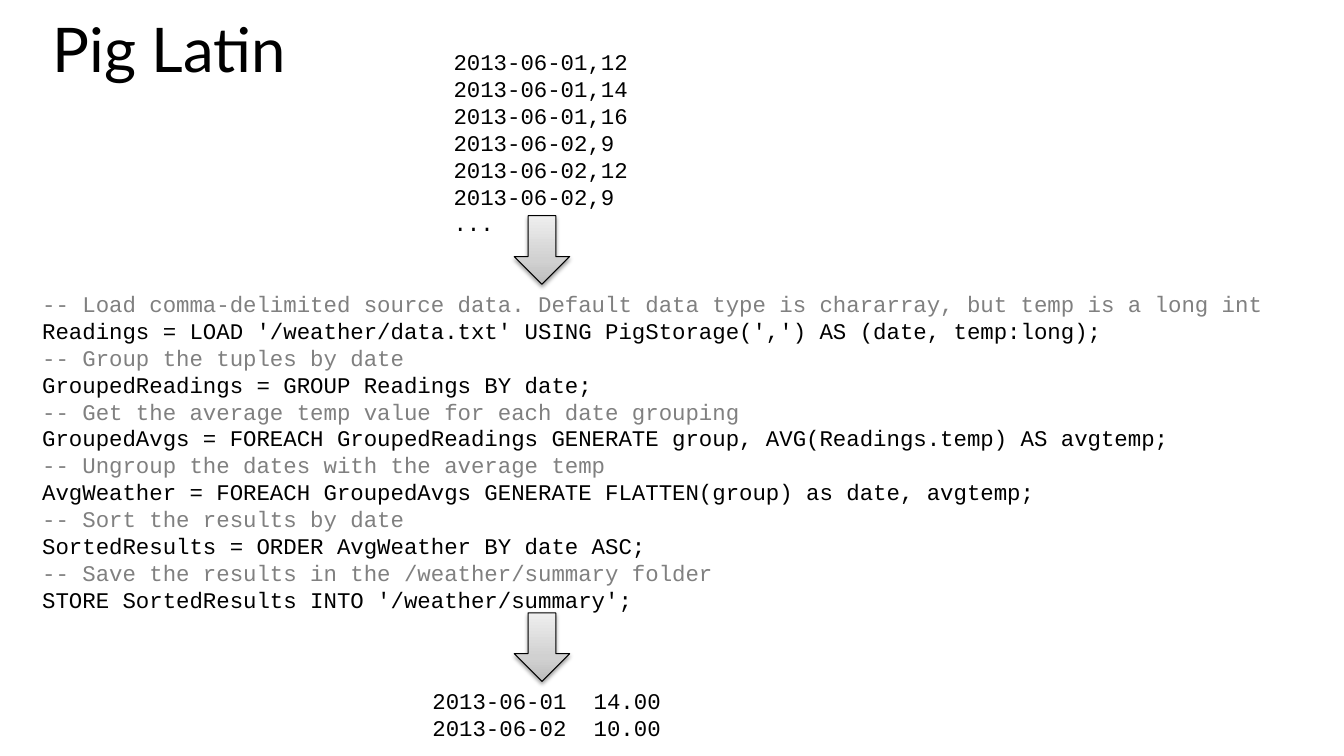
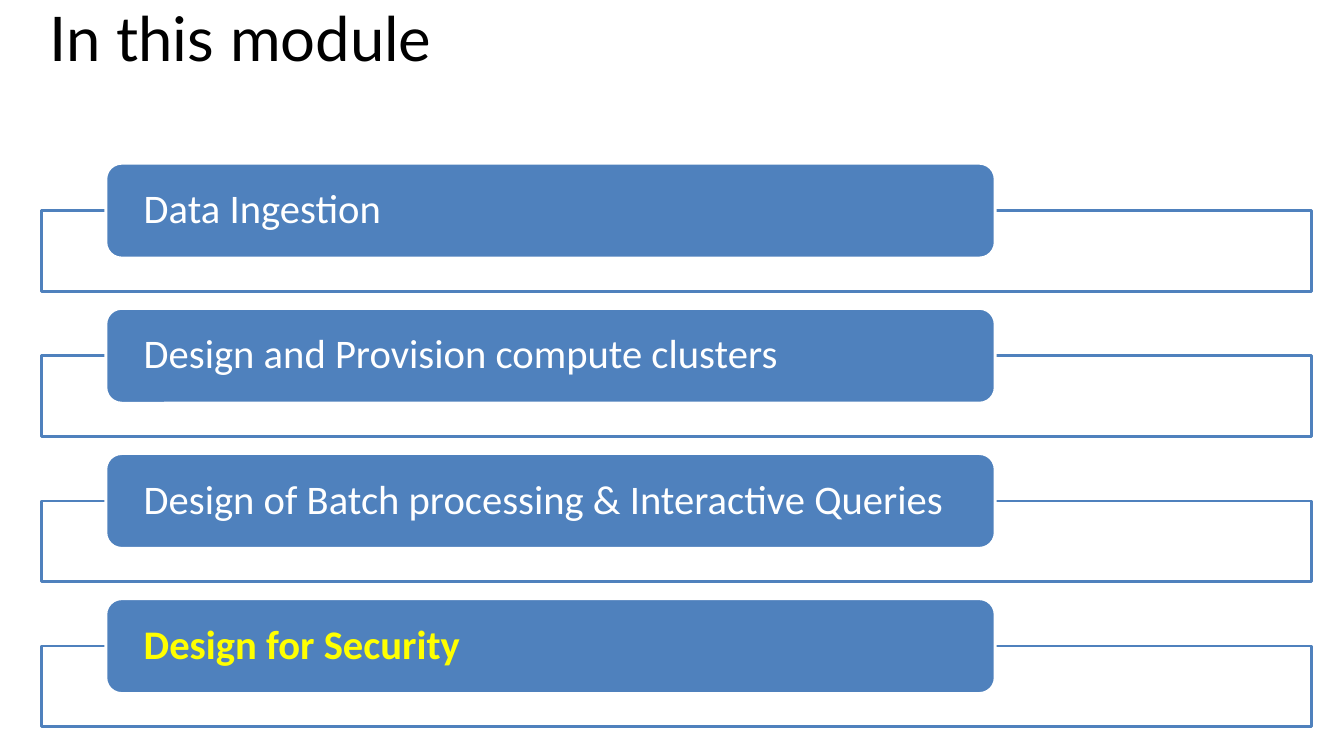
from pptx import Presentation
from pptx import util as u
from pptx.dml.color import RGBColor
from pptx.enum import shapes, text
from pptx.oxml import parse_xml
from pptx.oxml.ns import nsdecls, qn

BLACK, WHITE, GREY = "000000", "FFFFFF", "808080"
BLUE, YELLOW = "4F81BD", "FFFF00"
TITLE_FONT, CODE_FONT, MODULE_FONT = "Lato", "Courier New", "Calibri"
ARROW_STOPS = [(0, "BDBDBD"), (35, "D1D1D1"), (100, "EEEEEE")]

READINGS = ["2013-06-01,12", "2013-06-01,14", "2013-06-01,16",
            "2013-06-02,9", "2013-06-02,12", "2013-06-02,9", "..."]
PIG_SCRIPT = [
    "-- Load comma-delimited source data. Default data type is chararray, but temp is a long int",
    "Readings = LOAD '/weather/data.txt' USING PigStorage(',') AS (date, temp:long);",
    "-- Group the tuples by date",
    "GroupedReadings = GROUP Readings BY date;",
    "-- Get the average temp value for each date grouping",
    "GroupedAvgs = FOREACH GroupedReadings GENERATE group, AVG(Readings.temp) AS avgtemp;",
    "-- Ungroup the dates with the average temp",
    "AvgWeather = FOREACH GroupedAvgs GENERATE FLATTEN(group) as date, avgtemp;",
    "-- Sort the results by date",
    "SortedResults = ORDER AvgWeather BY date ASC;",
    "-- Save the results in the /weather/summary folder",
    "STORE SortedResults INTO '/weather/summary';",
]
AVERAGES = ["2013-06-01\t14.00", "2013-06-02\t10.00"]
AVERAGE_TAB = 1.6

MODULES = ["Data Ingestion", "Design and Provision compute clusters",
           "Design of Batch processing & Interactive Queries", "Design for Security"]
CURRENT_MODULE = "Design for Security"
MODULE_TOP, MODULE_PITCH, FRAME_DROP = 1.62, 1.44, 0.47


def rgb(value):
    return RGBColor.from_string(value)


def box(left, top, width, height):
    return [u.Inches(length) for length in (left, top, width, height)]


def style(paragraph, font_name, size, color, bold=False):
    font = paragraph.font
    font.name, font.size, font.bold = font_name, u.Pt(size), bold
    font.color.rgb = rgb(color)


def add_titled_slide(prs, title, *place):
    slide = prs.slides.add_slide(prs.slide_layouts[5])
    heading = slide.shapes.title
    heading.left, heading.top, heading.width, heading.height = box(*place)
    frame = heading.text_frame
    frame.text = title
    frame.auto_size = text.MSO_AUTO_SIZE.NONE
    frame.vertical_anchor = text.MSO_ANCHOR.TOP
    paragraph = frame.paragraphs[0]
    paragraph.alignment = text.PP_ALIGN.LEFT
    paragraph.line_spacing = 0.8
    style(paragraph, TITLE_FONT, 44, BLACK)
    return slide


def add_code(slide, lines, *place, tab=None):
    frame = slide.shapes.add_textbox(*box(*place)).text_frame
    frame.word_wrap = True
    frame.text = "\n".join(lines)
    for paragraph in frame.paragraphs:
        style(paragraph, CODE_FONT, 16, GREY if paragraph.text.startswith("--") else BLACK)
        if tab:
            stops = parse_xml(f'<a:tabLst {nsdecls("a")}><a:tab pos="{u.Inches(tab)}" algn="l"/></a:tabLst>')
            paragraph._p.pPr.find(qn("a:defRPr")).addprevious(stops)


def add_shape(slide, kind, line_color, line_width, *place):
    shape = slide.shapes.add_shape(kind, *box(*place))
    shape.shadow.inherit = False
    shape.line.color.rgb = rgb(line_color)
    shape.line.width = u.Pt(line_width)
    return shape


def add_flow_arrow(slide, top):
    arrow = add_shape(slide, shapes.MSO_SHAPE.DOWN_ARROW, BLACK, 0.75, 5.1, top, 0.55, 0.68)
    arrow.fill.gradient()
    arrow.fill.gradient_angle = 90
    stops = "".join(f'<a:gs pos="{pos * 1000}"><a:srgbClr val="{color}"/></a:gs>'
                    for pos, color in ARROW_STOPS)
    properties = arrow._element.spPr
    old_stops = next(properties.iter(qn("a:gsLst")))
    old_stops.getparent().replace(old_stops, parse_xml(f'<a:gsLst {nsdecls("a")}>{stops}</a:gsLst>'))
    properties.find(qn("a:effectLst")).append(parse_xml(
        f'<a:outerShdw {nsdecls("a")} blurRad="{u.Pt(3.1)}" dist="{u.Pt(1.6)}" dir="5400000" rotWithShape="0">'
        f'<a:srgbClr val="{BLACK}"><a:alpha val="38000"/></a:srgbClr></a:outerShdw>'))


def add_module(slide, name, top):
    frame = add_shape(slide, shapes.MSO_SHAPE.RECTANGLE, BLUE, 2, 0.41, top + FRAME_DROP, 12.6, 0.8)
    frame.fill.solid()
    frame.fill.fore_color.rgb = rgb(WHITE)
    fill_color = frame._element.spPr.find(qn("a:solidFill"))[0]
    fill_color.append(parse_xml(f'<a:alpha {nsdecls("a")} val="90000"/>'))

    label = add_shape(slide, shapes.MSO_SHAPE.ROUNDED_RECTANGLE, WHITE, 2, 1.05, top, 8.82, 0.94)
    label.fill.solid()
    label.fill.fore_color.rgb = rgb(BLUE)
    caption = label.text_frame
    caption.text = name
    caption.word_wrap = True
    caption.vertical_anchor = text.MSO_ANCHOR.MIDDLE
    caption.margin_left = caption.margin_right = u.Inches(0.33)
    caption.margin_top = caption.margin_bottom = 0
    paragraph = caption.paragraphs[0]
    paragraph.alignment = text.PP_ALIGN.LEFT
    paragraph.line_spacing = 0.9
    current = name == CURRENT_MODULE
    style(paragraph, MODULE_FONT, 29, YELLOW if current else WHITE, current)


def build_pig_latin(prs):
    slide = add_titled_slide(prs, "Pig Latin", 0.42, 0.2, 12.6, 1.16)
    add_code(slide, PIG_SCRIPT, 0.32, 2.83, 12.8, 3.33)
    add_code(slide, READINGS, 4.4, 0.43, 2.48, 2.02)
    add_flow_arrow(slide, 2.14)
    add_code(slide, AVERAGES, 4.19, 6.77, 3.08, 0.64, tab=AVERAGE_TAB)
    add_flow_arrow(slide, 6.08)


def build_modules(prs):
    slide = add_titled_slide(prs, "In this module", 0.39, 0.09, 11.5, 1.45)
    for index, name in enumerate(MODULES):
        add_module(slide, name, MODULE_TOP + index * MODULE_PITCH)


def main():
    prs = Presentation()
    prs.slide_width, prs.slide_height = u.Inches(13.33), u.Inches(7.5)
    build_pig_latin(prs)
    build_modules(prs)
    prs.save("out.pptx")


if __name__ == "__main__":
    main()
